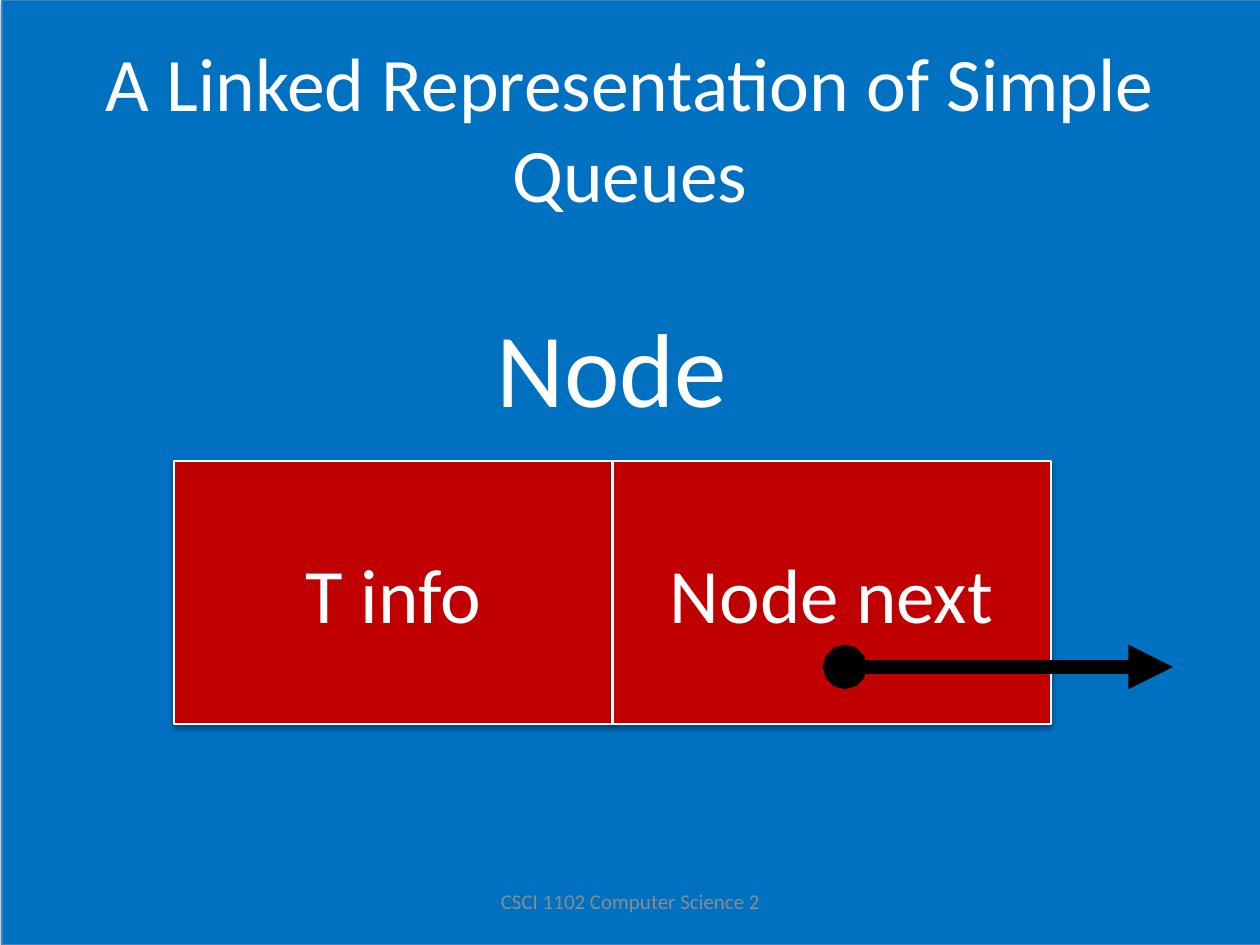
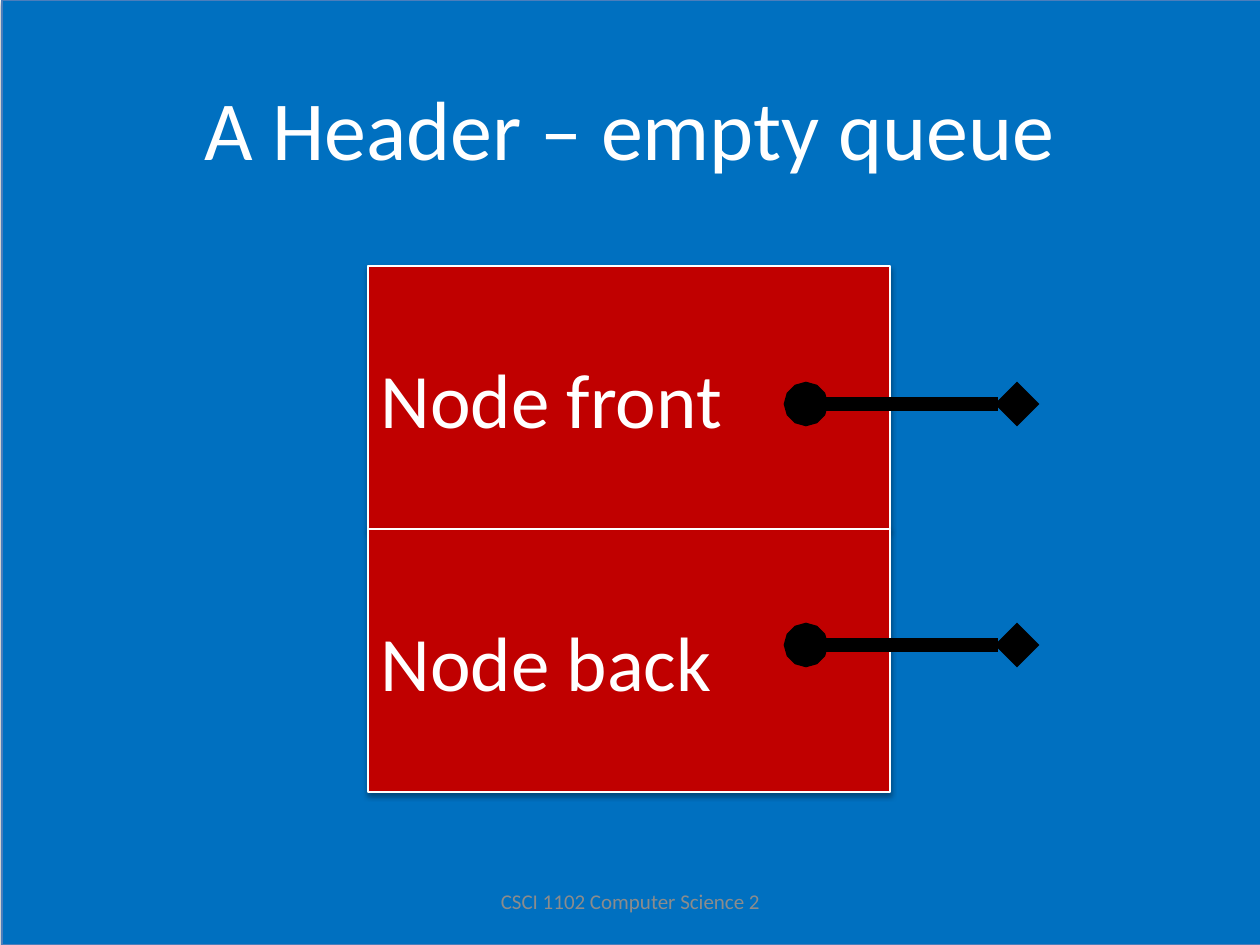
from lxml.etree import SubElement
from pptx import Presentation
from pptx.dml.color import RGBColor
from pptx.enum.shapes import MSO_CONNECTOR, MSO_SHAPE
from pptx.enum.text import MSO_ANCHOR, PP_ALIGN
from pptx.oxml.ns import qn
from pptx.util import Emu, Pt

EMU_PER_PIXEL = 914400 / 126
SLIDE_WIDTH, SLIDE_HEIGHT = 1260, 945
FONT = "Calibri"
COLORS = {
    "background": "0070C0",
    "edge": "4B7EBC",
    "cell": "C00000",
    "text": "FFFFFF",
    "footer": "8C8C8C",
    "pointer": "000000",
}
TITLE_BOX = (63, 48, 1134, 157)
FOOTER_BOX = (431, 876, 399, 50)
FOOTER = "CSCI 1102 Computer Science 2"


def px(length):
    """Turn pixels into EMU."""
    return Emu(round(length * EMU_PER_PIXEL))


def color(name):
    """Look up a named colour."""
    return RGBColor.from_string(COLORS[name])


def write(shape, text, size, color_name="text", align=PP_ALIGN.CENTER, wrap=True):
    """Write one run of text, centred vertically in a shape."""
    frame = shape.text_frame
    frame.word_wrap = wrap
    frame.vertical_anchor = MSO_ANCHOR.MIDDLE
    paragraph = frame.paragraphs[0]
    paragraph.alignment = align
    run = paragraph.add_run()
    run.text = text
    run.font.name = FONT
    run.font.size = Pt(size)
    run.font.color.rgb = color(color_name)


def add_label(slide, box, text, size, **style):
    """Add a text box."""
    write(slide.shapes.add_textbox(*map(px, box)), text, size, **style)


def add_rectangle(slide, box, fill, line, line_width):
    """Add a filled rectangle with a soft shadow below it."""
    shape = slide.shapes.add_shape(MSO_SHAPE.RECTANGLE, *map(px, box))
    shape.shadow.inherit = False
    shape.fill.solid()
    shape.fill.fore_color.rgb = color(fill)
    shape.line.color.rgb = color(line)
    shape.line.width = Pt(line_width)
    effects = shape._element.spPr.find(qn("a:effectLst"))
    shadow = SubElement(effects, qn("a:outerShdw"), blurRad=str(Pt(3.1)),
                        dist=str(Pt(1.8)), dir="5400000", rotWithShape="0")
    shade = SubElement(shadow, qn("a:srgbClr"), val="000000")
    SubElement(shade, qn("a:alpha"), val="35000")
    return shape


def add_cells(slide, box, labels, across, align):
    """Split a box evenly into labelled cells, side by side or stacked."""
    left, top, width, height = box
    columns, rows = (len(labels), 1) if across else (1, len(labels))
    cell_width, cell_height = width / columns, height / rows
    for index, label in enumerate(labels):
        row, column = divmod(index, columns)
        cell_box = (left + column * cell_width, top + row * cell_height,
                    cell_width, cell_height)
        cell = add_rectangle(slide, cell_box, "cell", "text", 1.25)
        write(cell, label, 44, align=align)


def add_pointer(slide, left, middle, length, tip):
    """Add a thick horizontal pointer from a dot to a tip."""
    connector = slide.shapes.add_connector(
        MSO_CONNECTOR.STRAIGHT, *map(px, (left, middle, left + length, middle)))
    connector.line.color.rgb = color("pointer")
    connector.line.width = Pt(8.5)
    properties = connector._element.spPr
    line = properties.find(qn("a:ln"))
    SubElement(line, qn("a:headEnd"), type="oval")
    SubElement(line, qn("a:tailEnd"), type=tip)
    SubElement(properties, qn("a:effectLst"))


def add_base_slide(presentation, title, title_size):
    """Add a slide with the shared backdrop, title and footer."""
    slide = presentation.slides.add_slide(presentation.slide_layouts[6])
    add_rectangle(slide, (2, 0, SLIDE_WIDTH, SLIDE_HEIGHT), "background", "edge", 0.75)
    add_label(slide, TITLE_BOX, title, title_size)
    add_label(slide, FOOTER_BOX, FOOTER, 12, color_name="footer")
    return slide


def draw_node(slide, box):
    """Draw a node with its info and next cells and its name above."""
    left, top, width, height = box
    add_cells(slide, box, ["T info", "Node next"], True, PP_ALIGN.CENTER)
    add_pointer(slide, left + 671, top + 206, 328, "triangle")
    add_label(slide, (left + 310, top - 165, 258, 140), "Node", 60,
              align=PP_ALIGN.LEFT, wrap=False)


def draw_header(slide, box):
    """Draw a queue header whose front and back pointers are empty."""
    left, top, width, height = box
    add_cells(slide, box, ["Node front", "Node back"], False, PP_ALIGN.LEFT)
    for drop in (138, 379):
        add_pointer(slide, left + 438, top + drop, 211, "diamond")


def main():
    """Build and save the presentation."""
    presentation = Presentation()
    presentation.slide_width = px(SLIDE_WIDTH)
    presentation.slide_height = px(SLIDE_HEIGHT)
    node_slide = add_base_slide(
        presentation, "A Linked Representation of Simple Queues", 43.2)
    draw_node(node_slide, (174, 461, 877, 263))
    header_slide = add_base_slide(presentation, "A Header – empty queue", 48)
    draw_header(header_slide, (368, 266, 522, 526))
    presentation.save("out.pptx")


if __name__ == "__main__":
    main()
